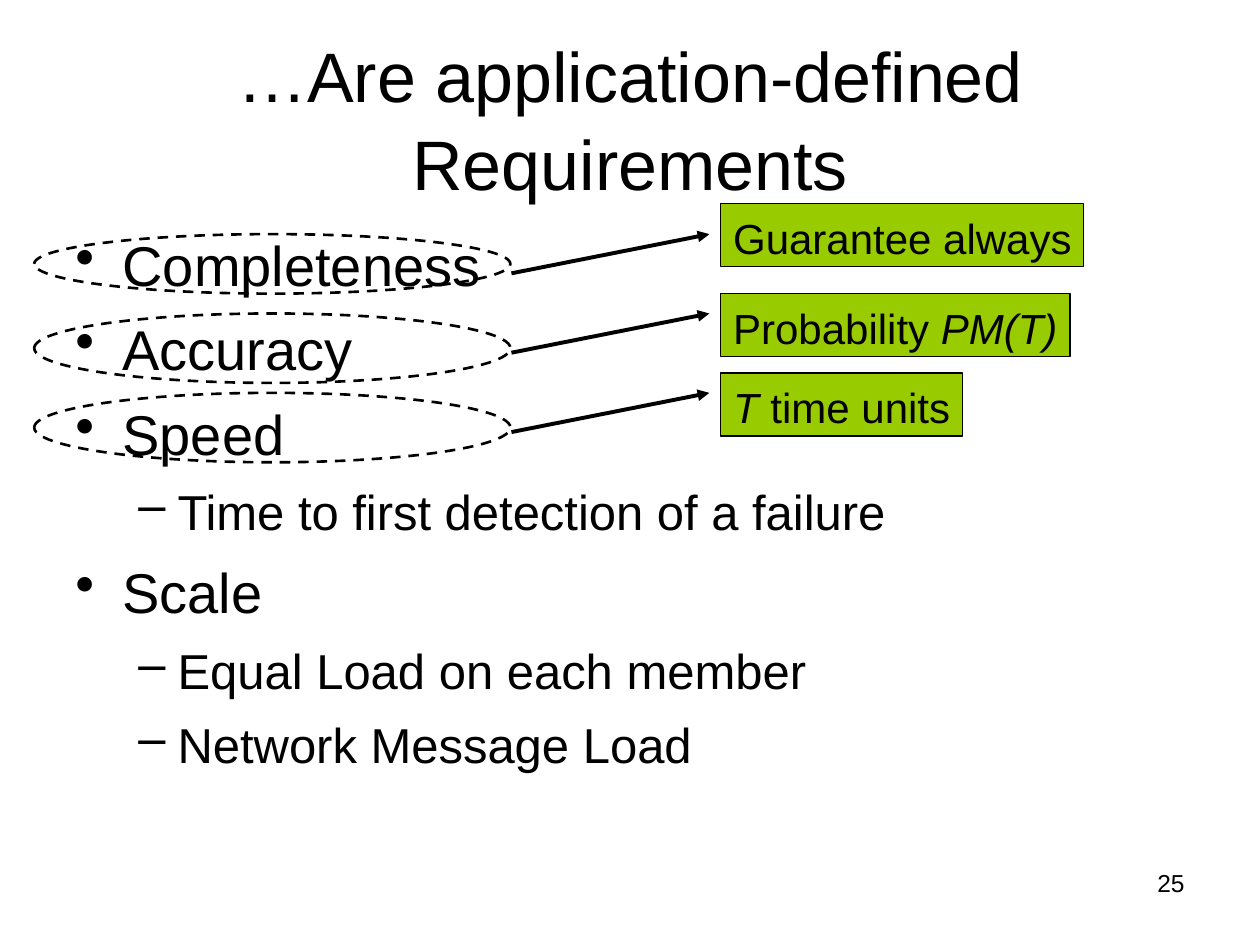
from lxml.etree import SubElement
from pptx import Presentation
from pptx.dml.color import RGBColor
from pptx.enum.dml import MSO_LINE
from pptx.enum.shapes import MSO_CONNECTOR, MSO_SHAPE
from pptx.enum.text import MSO_ANCHOR, PP_ALIGN
from pptx.oxml.ns import qn
from pptx.util import Cm, Pt

COLORS = {"ink": "000000", "label": "99CC00"}
TITLE = "…Are application-defined Requirements"
PAGE_NUMBER = "25"
BULLETS = [
    (0, "Completeness"),
    (0, "Accuracy"),
    (0, "Speed"),
    (1, "Time to first detection of a failure"),
    (0, "Scale"),
    (1, "Equal Load on each member"),
    (1, "Network Message Load"),
]
LEVELS = [
    {"size": 32, "before": 8, "bullet": "•", "margin": 0.95, "hanging": 0.95},
    {"size": 28, "before": 7, "bullet": "–", "margin": 2.06, "hanging": 0.79},
]
REQUIREMENTS = [
    {"spans": [("Guarantee always", False)], "top": 4.11, "width": 7.32, "ring": (4.72, 1.2)},
    {"spans": [("Probability ", False), ("PM(T)", True)], "top": 5.92, "width": 7.04, "ring": (6.32, 1.4)},
    {"spans": [("T ", True), ("time units", False)], "top": 7.52, "width": 4.88, "ring": (7.92, 1.4)},
]


def color(name):
    """Return the named colour."""
    return RGBColor.from_string(COLORS[name])


def write(para, spans, size, align=PP_ALIGN.LEFT, before=0, spacing=1.05,
          bullet=None, margin=0, hanging=0):
    """Fill a paragraph with (text, italic) spans in one format."""
    para.alignment = align
    para.space_before = Pt(before)
    para.line_spacing = spacing
    if bullet:
        properties = para._p.get_or_add_pPr()
        properties.set("marL", str(Cm(margin)))
        properties.set("indent", str(-Cm(hanging)))
        SubElement(properties, qn("a:buChar"), char=bullet)
    for text, italic in spans:
        span = para.add_run()
        span.text = text
        span.font.name = "Arial"
        span.font.size = Pt(size)
        span.font.italic = italic
        span.font.color.rgb = color("ink")


def place(shape, left, top, width, height):
    """Set the position and size of a shape."""
    shape.left, shape.top = Cm(left), Cm(top)
    shape.width, shape.height = Cm(width), Cm(height)


def add_text_box(page, left, top, width, height):
    """Add a wrapping text box and return it."""
    box = page.shapes.add_textbox(Cm(left), Cm(top), Cm(width), Cm(height))
    box.text_frame.word_wrap = True
    return box


def add_outline(page, kind, left, top, width, height, weight):
    """Add an unfilled, unshadowed shape with an ink outline."""
    shape = page.shapes.add_shape(kind, Cm(left), Cm(top), Cm(width), Cm(height))
    shape.shadow.inherit = False
    shape.fill.background()
    shape.line.color.rgb = color("ink")
    shape.line.width = Pt(weight)
    return shape


def add_arrow(page, start, end):
    """Add a straight arrow between two points."""
    arrow = page.shapes.add_connector(MSO_CONNECTOR.STRAIGHT, *map(Cm, start + end))
    arrow.line.color.rgb = color("ink")
    arrow.line.width = Pt(2.25)
    SubElement(arrow.line._get_or_add_ln(), qn("a:tailEnd"), type="triangle")
    SubElement(arrow._element.spPr, qn("a:effectLst"))


def add_requirement(page, spans, top, width, ring):
    """Add a dashed ring, its arrow and the label it points to."""
    ring_top, ring_height = ring
    ellipse = add_outline(page, MSO_SHAPE.OVAL, 0.69, ring_top, 9.6, ring_height, 1.5)
    ellipse.line.dash_style = MSO_LINE.DASH
    add_arrow(page, (10.31, ring_top + 0.79), (14.3, ring_top))
    label = add_outline(page, MSO_SHAPE.RECTANGLE, 14.53, top, width, 1.27, 0.75)
    label.fill.solid()
    label.fill.fore_color.rgb = color("label")
    frame = label.text_frame
    frame.word_wrap = False
    frame.vertical_anchor = MSO_ANCHOR.TOP
    write(frame.paragraphs[0], spans, 24)


def main():
    """Build and save the slide."""
    deck = Presentation()
    deck.slide_width, deck.slide_height = Cm(25.4), Cm(19.05)
    page = deck.slides.add_slide(deck.slide_layouts[5])

    title = page.shapes.title
    place(title, 1.27, 0.76, 22.86, 3.18)
    title.text_frame.vertical_anchor = MSO_ANCHOR.MIDDLE
    write(title.text_frame.paragraphs[0], [(TITLE, False)], 40, align=PP_ALIGN.CENTER)

    number = add_text_box(page, 18.21, 17.35, 5.92, 1.32)
    write(number.text_frame.paragraphs[0], [(PAGE_NUMBER, False)], 14, align=PP_ALIGN.RIGHT)

    frame = add_text_box(page, 1.27, 4.45, 22.86, 12.57).text_frame
    for index, (level, text) in enumerate(BULLETS):
        para = frame.add_paragraph() if index else frame.paragraphs[0]
        para.level = level
        layout = LEVELS[level] if index else {**LEVELS[level], "before": 0}
        write(para, [(text, False)], **layout)

    for requirement in REQUIREMENTS:
        add_requirement(page, **requirement)

    deck.save("out.pptx")


if __name__ == "__main__":
    main()
